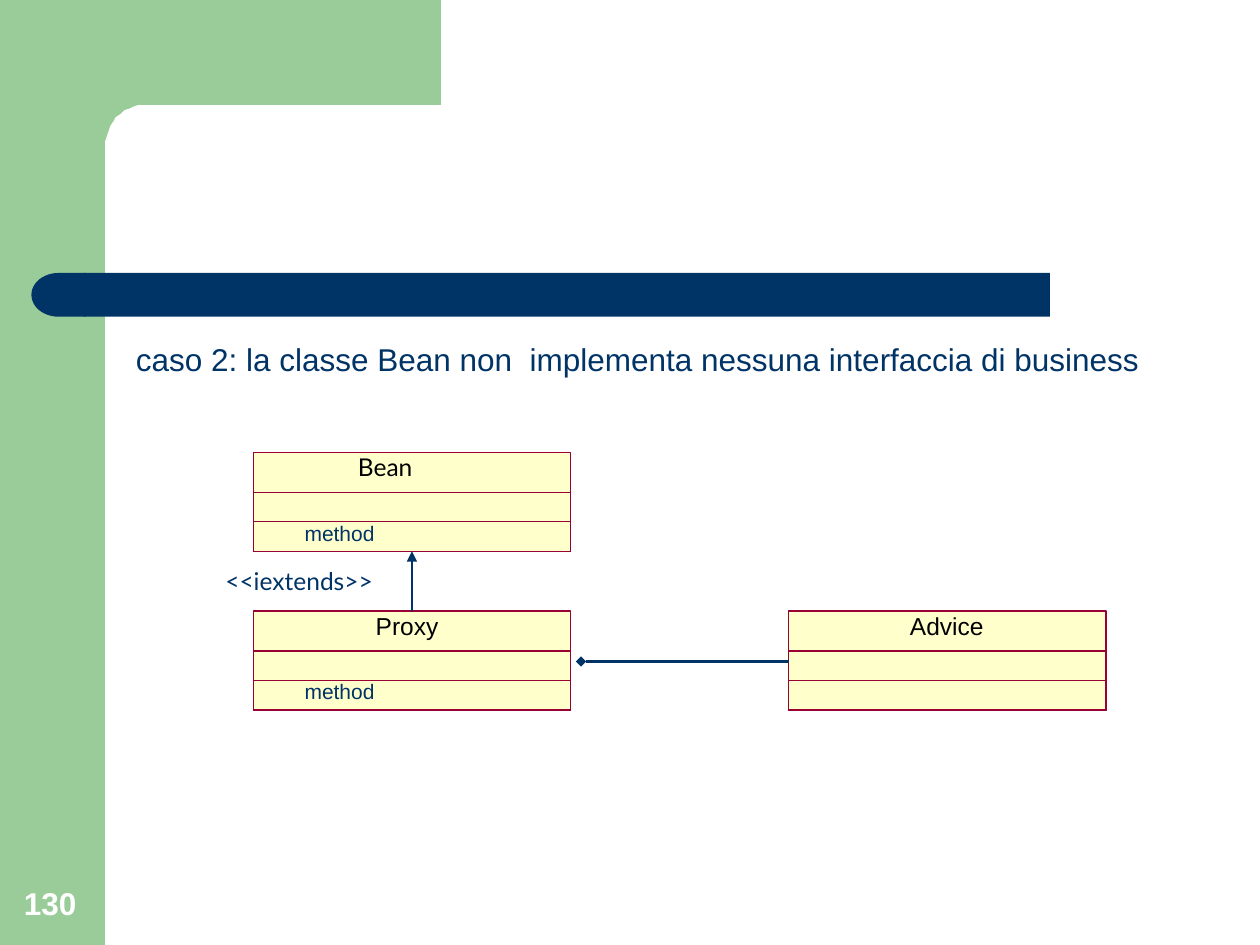
"""Build a slide with a UML diagram of a proxy extending a bean class."""
import math

from lxml import etree
from pptx import Presentation
from pptx.dml.color import RGBColor
from pptx.enum import shapes as kinds, text as txt
from pptx.oxml import ns
from pptx.util import Pt

NAVY = RGBColor(0x00, 0x33, 0x66)
GREEN = RGBColor(0x99, 0xCC, 0x99)
CREAM = RGBColor(0xFF, 0xFF, 0xCC)
CRIMSON = RGBColor(0x99, 0x00, 0x33)
BLACK = RGBColor(0, 0, 0)
WHITE = RGBColor(0xFF, 0xFF, 0xFF)

CLASS_WIDTH, CLASS_HEIGHT = 181.4, 56.5
ROW_TOPS = (0, 22.8, 39.5)
LEFT_COLUMN, RIGHT_COLUMN = 144.7, 450.7
BEAN_TOP, PROXY_TOP = 258.5, 349.2


def paint(shape, fill=None, outline=None):
    """Set fill and outline; None leaves that part empty."""
    shape.shadow.inherit = False
    if fill is None:
        shape.fill.background()
    else:
        shape.fill.solid()
        shape.fill.fore_color.rgb = fill
    if outline is None:
        shape.line.fill.background()
    else:
        shape.line.color.rgb = outline
        shape.line.width = Pt(0)


def add_block(shapes, kind, box, fill=None, outline=None):
    """Add a painted preset shape."""
    block = shapes.add_shape(kind, *map(Pt, box))
    paint(block, fill, outline)
    return block


def add_label(shapes, wording, box, size, color, font="Arial", inset=True,
              bold=False, anchor=txt.MSO_ANCHOR.TOP):
    """Add a one-paragraph text box."""
    label = shapes.add_textbox(*map(Pt, box))
    frame = label.text_frame
    frame.word_wrap = True
    frame.vertical_anchor = anchor
    frame.margin_left = frame.margin_right = Pt(7.2 if inset else 0)
    frame.margin_top = frame.margin_bottom = Pt(3.6 if inset else 0)
    frame.text = wording
    style = frame.paragraphs[0].runs[0].font
    style.name, style.size, style.bold = font, Pt(size), bold
    style.color.rgb = color


def add_class(slide, left, top, name, name_left, font="Arial"):
    """Add a three-row UML class box with its name."""
    group = slide.shapes.add_group_shape().shapes
    for row_top in ROW_TOPS:
        box = (left, top + row_top, CLASS_WIDTH, CLASS_HEIGHT - row_top)
        add_block(group, kinds.MSO_SHAPE.RECTANGLE, box,
                  None if row_top else CREAM, CRIMSON)
    add_label(group, name, (name_left, top, 70, 16.8), 14, BLACK, font, inset=False)


def add_relation(slide, start, end, head):
    """Add a line with a UML head at its end."""
    relation = slide.shapes.add_connector(
        kinds.MSO_CONNECTOR.STRAIGHT, *map(Pt, start + end))
    relation.line.color.rgb = NAVY
    relation.line.width = Pt(1.5)
    properties = relation.line._get_or_add_ln()
    etree.SubElement(properties, ns.qn("a:tailEnd"), type=head)
    etree.SubElement(relation._element.spPr, ns.qn("a:effectLst"))


def add_corner(slide):
    """Add the green top band with its rounded inner corner."""
    angles = [math.radians(step * 7.5) for step in range(13)]
    curve = [(82 - 22 * math.sin(a), 84 - 24 * math.cos(a)) for a in angles]
    outline = [(252, 60), *curve, (60, 92), (36, 92), (36, 0)]
    builder = slide.shapes.build_freeform(252, 0, scale=Pt(1))
    builder.add_line_segments(outline, close=True)
    paint(builder.convert_to_shape(), GREEN)


def add_frame(slide):
    """Add the side band, corner, navy bar and page number."""
    add_block(slide.shapes, kinds.MSO_SHAPE.RECTANGLE, (0, 0, 60, 540), GREEN)
    add_corner(slide)
    add_block(slide.shapes, kinds.MSO_SHAPE.RECTANGLE, (48, 156, 552, 25), NAVY)
    cap = add_block(slide.shapes, kinds.MSO_SHAPE.FLOWCHART_DELAY,
                    (18, 156, 31, 25), NAVY)
    cap._element.spPr.xfrm.set("flipH", "1")
    add_label(slide.shapes, "130", (6.5, 492, 46, 38), 18, WHITE,
              bold=True, anchor=txt.MSO_ANCHOR.BOTTOM)


def main():
    """Assemble and save the slide."""
    deck = Presentation()
    deck.slide_width, deck.slide_height = Pt(720), Pt(540)
    slide = deck.slides.add_slide(deck.slide_layouts[6])
    add_frame(slide)
    add_label(slide.shapes,
              "caso 2: la classe Bean non  implementa nessuna interfaccia di business",
              (70.6, 190.8, 601, 29), 18, NAVY)

    add_class(slide, RIGHT_COLUMN, PROXY_TOP, "Advice", 520)
    add_class(slide, LEFT_COLUMN, BEAN_TOP, "Bean", 204.5, "Lato")
    add_class(slide, LEFT_COLUMN, PROXY_TOP, "Proxy", 214.7)
    for top in (BEAN_TOP, PROXY_TOP):
        add_label(slide.shapes, "method", (167, top + 35.2, 102, 21.6), 12, NAVY)

    middle = LEFT_COLUMN + CLASS_WIDTH / 2
    add_relation(slide, (RIGHT_COLUMN, 378), (332, 378), "diamond")
    add_relation(slide, (middle, PROXY_TOP), (middle, BEAN_TOP + CLASS_HEIGHT), "triangle")
    add_label(slide.shapes, "<<iextends>>", (121.7, 319.7, 136, 24.5), 14, NAVY, "Lato")
    deck.save("out.pptx")


if __name__ == "__main__":
    main()
